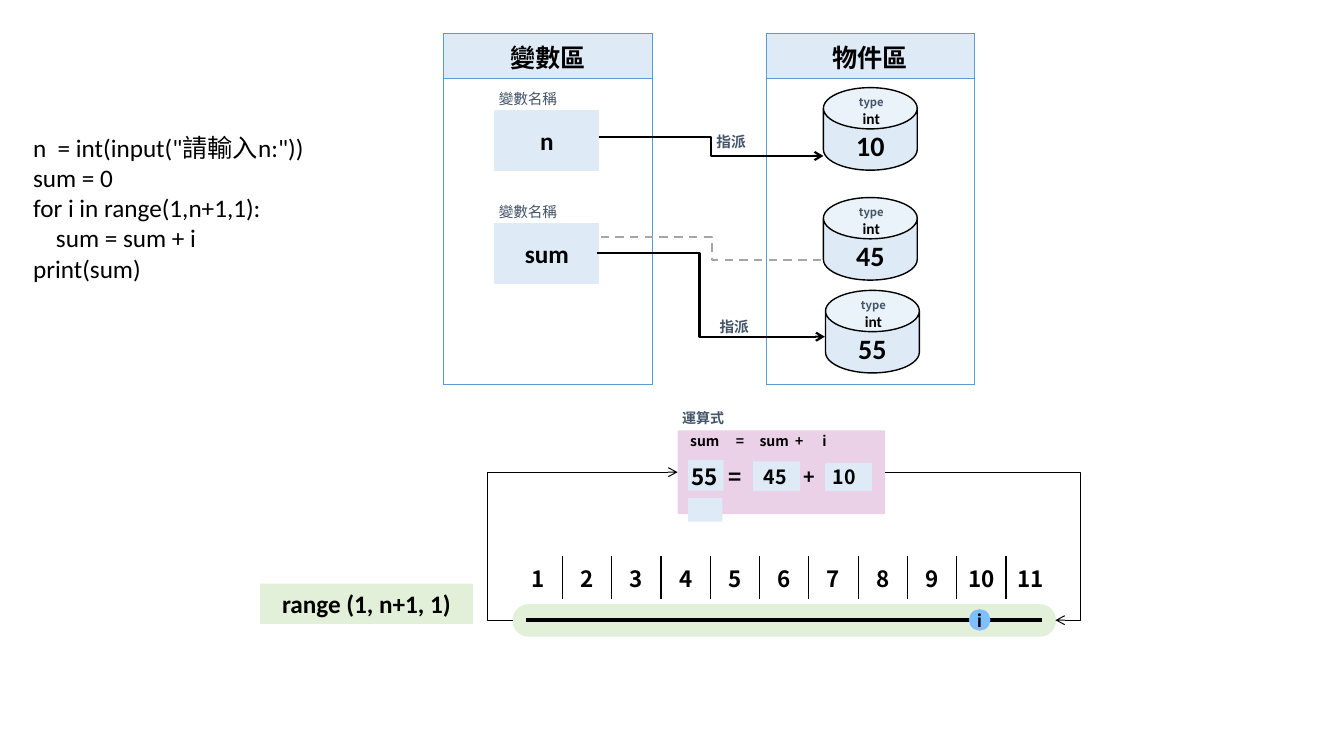
from lxml.etree import SubElement as Sub
from pptx import Presentation
from pptx.dml.color import RGBColor as RGB
from pptx.enum.dml import MSO_LINE as Dash
from pptx.enum.shapes import MSO_CONNECTOR as Link, MSO_SHAPE as Form
from pptx.enum.text import MSO_ANCHOR as Anchor, PP_ALIGN as Align
from pptx.oxml.ns import qn
from pptx.util import Pt

HUES = {"ink": "000000", "slate": "44546A", "pale": "DEEBF7", "edge": "5B9BD5",
        "green": "E2F0D9", "pink": "EAD1E7", "dot": "80BFFF", "gray": "A5A5A5",
        "white": "FFFFFF"}
LATIN, HAN = "Calibri", "Noto Sans CJK SC"


def hue(name):
    """Return the colour with the given name."""
    return RGB.from_string(HUES[name])


def put(para, text, size, face=LATIN, bold=True, color="ink", align=Align.CENTER):
    """Fill a paragraph with text in one style."""
    para.text, para.alignment = text, align
    font = para.font
    font.size, font.bold, font.name = Pt(size), bold, face
    font.color.rgb = hue(color)
    Sub(para._p.pPr.find(qn("a:defRPr")), qn("a:ea"), typeface=HAN)


def fit(frame, wrap=True, anchor=Anchor.MIDDLE):
    """Remove the insets of a text frame and set its anchor."""
    frame.margin_left = frame.margin_right = frame.margin_top = frame.margin_bottom = 0
    frame.word_wrap, frame.vertical_anchor = wrap, anchor


def shape(slide, form, box, fill, line=None, width=1):
    """Add a filled preset shape."""
    item = slide.shapes.add_shape(form, *map(Pt, box))
    item.shadow.inherit = False
    item.fill.solid()
    item.fill.fore_color.rgb = hue(fill)
    if line:
        item.line.color.rgb = hue(line)
        item.line.width = Pt(width)
    else:
        item.line.fill.background()
    return item


def label(slide, box, text, size, bold=False):
    """Add a small slate caption."""
    frame = slide.shapes.add_textbox(*map(Pt, box)).text_frame
    frame.word_wrap = False
    put(frame.paragraphs[0], text, size, HAN, bold, "slate", Align.LEFT)


def token(slide, x, y, text, size):
    """Add a short text centred on a point."""
    frame = slide.shapes.add_textbox(Pt(x - 15), Pt(y - 11), Pt(30), Pt(22)).text_frame
    fit(frame)
    put(frame.paragraphs[0], text, size, HAN)


def link(slide, start, end, width, color="ink", bend=None, arrow=True, dash=False):
    """Add a line, bent where a bend ratio is given."""
    kind = Link.STRAIGHT if bend is None else Link.ELBOW
    item = slide.shapes.add_connector(kind, *map(Pt, start + end))
    item.line.color.rgb = hue(color)
    item.line.width = Pt(width)
    if dash:
        item.line.dash_style = Dash.DASH
    props = item._element.spPr
    if bend is not None:
        geom = props.find(qn("a:prstGeom"))
        guides = geom.find(qn("a:avLst"))
        if guides is None:
            guides = Sub(geom, qn("a:avLst"))
        Sub(guides, qn("a:gd"), name="adj1", fmla=f"val {round(bend * 100000)}")
    if arrow:
        Sub(props.find(qn("a:ln")), qn("a:tailEnd"), type="arrow")
    Sub(props, qn("a:effectLst"))


def border(cell, sides):
    """Set the sides of a cell, each with a colour and width."""
    props = cell._tc.get_or_add_tcPr()
    for i, (side, (color, width)) in enumerate(sides.items()):
        line = props.makeelement(qn(f"a:ln{side}"), w=str(Pt(width)))
        Sub(Sub(line, qn("a:solidFill")), qn("a:srgbClr"), val=HUES[color])
        props.insert(i, line)


def grid(slide, rows, cols, box):
    """Add a table without banding."""
    table = slide.shapes.add_table(rows, cols, *map(Pt, box)).table
    table.first_row = table.horz_banding = False
    return table


def panel(slide, x, title):
    """Add a titled memory area."""
    table = grid(slide, 2, 1, (x, 24, 149, 250.7))
    table.rows[0].height, table.rows[1].height = Pt(31.7), Pt(219)
    head, body = table.cell(0, 0), table.cell(1, 0)
    for cell in (head, body):
        border(cell, dict.fromkeys("LRTB", ("edge", 0.5)))
    head.fill.solid()
    head.fill.fore_color.rgb = hue("pale")
    body.fill.background()
    put(head.text_frame.paragraphs[0], title, 18, HAN)


def name_box(slide, y, text):
    """Add a variable with its caption."""
    label(slide, (349.2, y - 18.4, 124, 21), "變數名稱", 10.5)
    item = shape(slide, Form.RECTANGLE, (353.5, y, 74.2, 42.5), "pale", "pale")
    put(item.text_frame.paragraphs[0], text, 18)


def can(slide, x, y, value):
    """Add an integer object."""
    item = shape(slide, Form.CAN, (x, y, 67, 59), "pale", "ink")
    item.adjustments[0] = 0.541
    fit(item.text_frame, anchor=Anchor.TOP)
    put(item.text_frame.paragraphs[0], value, 20)
    frame = slide.shapes.add_textbox(Pt(x + 16.2), Pt(y + 5), Pt(36), Pt(24.5)).text_frame
    fit(frame)
    put(frame.paragraphs[0], "type", 8, HAN, color="slate")
    put(frame.add_paragraph(), "int", 11)


def code(slide):
    """Add the program listing."""
    frame = slide.shapes.add_textbox(Pt(16.6), Pt(90.7), Pt(219), Pt(116.6)).text_frame
    frame.word_wrap = False
    lines = [('n  = int(input("請輸入n:"))', 0), ("sum = 0", 0),
             ("for i in range(1,n+1,1):", 0), ("sum = sum + i", 16.3), ("print(sum)", 0)]
    for i, (text, indent) in enumerate(lines):
        para = frame.add_paragraph() if i else frame.paragraphs[0]
        put(para, text, 18, bold=False, align=Align.LEFT)
        para._p.pPr.set("marL", str(Pt(indent)))


def formula(slide):
    """Add the expression with its current values."""
    shape(slide, Form.RECTANGLE, (484, 307.4, 148.3, 59.8), "pink")
    label(slide, (480.2, 288.7, 44.6, 19.4), "運算式", 10, True)
    for x, y, wide, high in ((491.5, 328.6, 25.5, 22), (538, 329.6, 33.5, 21),
                             (589.5, 330.6, 33.5, 20), (491.5, 355.7, 24.5, 17)):
        shape(slide, Form.RECTANGLE, (x, y, wide, high), "pale")
    for x, text in ((503.5, "sum"), (528.5, "="), (553, "sum"), (571, "+"), (589, "i")):
        token(slide, x, 315, text, 10)
    for x, text, size in ((503.5, "55", 16), (525, "=", 16), (554, "45", 14),
                          (578, "+", 14), (603, "10", 14)):
        token(slide, x, 340.5, text, size)


def track(slide):
    """Add the range of numbers and the loop marker."""
    last = 11
    table = grid(slide, 1, last, (366.5, 397.4, 387.42, 29.5))
    for i, cell in enumerate(table.iter_cells()):
        table.columns[i].width = Pt(35.22)
        border(cell, {"L": ("ink" if i else "white", 1),
                      "R": ("ink" if i < last - 1 else "white", 1),
                      "T": ("white", 1), "B": ("white", 3)})
        cell.fill.solid()
        cell.fill.fore_color.rgb = hue("white")
        put(cell.text_frame.paragraphs[0], str(i + 1), 16, HAN)
    bar = shape(slide, Form.ROUNDED_RECTANGLE, (366.5, 432, 387.4, 22.3), "green", "green")
    bar.adjustments[0] = 0.5
    link(slide, (375.8, 442.8), (744.5, 442.8), 3, arrow=False)
    item = shape(slide, Form.RECTANGLE, (185.8, 416.9, 151.9, 28.8), "green")
    put(item.text_frame.paragraphs[0], "range (1, n+1, 1)", 18)
    dot = shape(slide, Form.OVAL, (692.6, 435.6, 14.4, 14.4), "dot", "dot")
    fit(dot.text_frame, wrap=False)
    put(dot.text_frame.paragraphs[0], "i", 14)


def main():
    """Build the slide and save it."""
    deck = Presentation()
    deck.slide_width, deck.slide_height = Pt(960), Pt(540)
    slide = deck.slides.add_slide(deck.slide_layouts[6])
    code(slide)
    for x, title in ((316.8, "變數區"), (547.2, "物件區")):
        panel(slide, x, title)
    for y, text in ((79.2, "n"), (159.8, "sum")):
        name_box(slide, y, text)
    for x, y, value in ((588.2, 62.6, "10"), (588.2, 141.1, "45"), (589.7, 207.4, "55")):
        can(slide, x, y, value)
    for x, y in ((504.7, 91.4), (506.9, 223.2)):
        label(slide, (x, y, 69, 20), "指派", 10.5, True)
    link(slide, (427.7, 98), (588.2, 111.4), 1.5, bend=0.5)
    link(slide, (429, 169.4), (588.2, 186), 1.5, "gray", 0.5, False, True)
    link(slide, (426.5, 181), (589.2, 240.5), 1.5, bend=0.45)
    formula(slide)
    track(slide)
    link(slide, (366.5, 443), (484, 337.3), 0.75, bend=-0.153)
    link(slide, (632.3, 337.3), (753.9, 443), 0.75, bend=1.148)
    deck.save("out.pptx")


if __name__ == "__main__":
    main()
